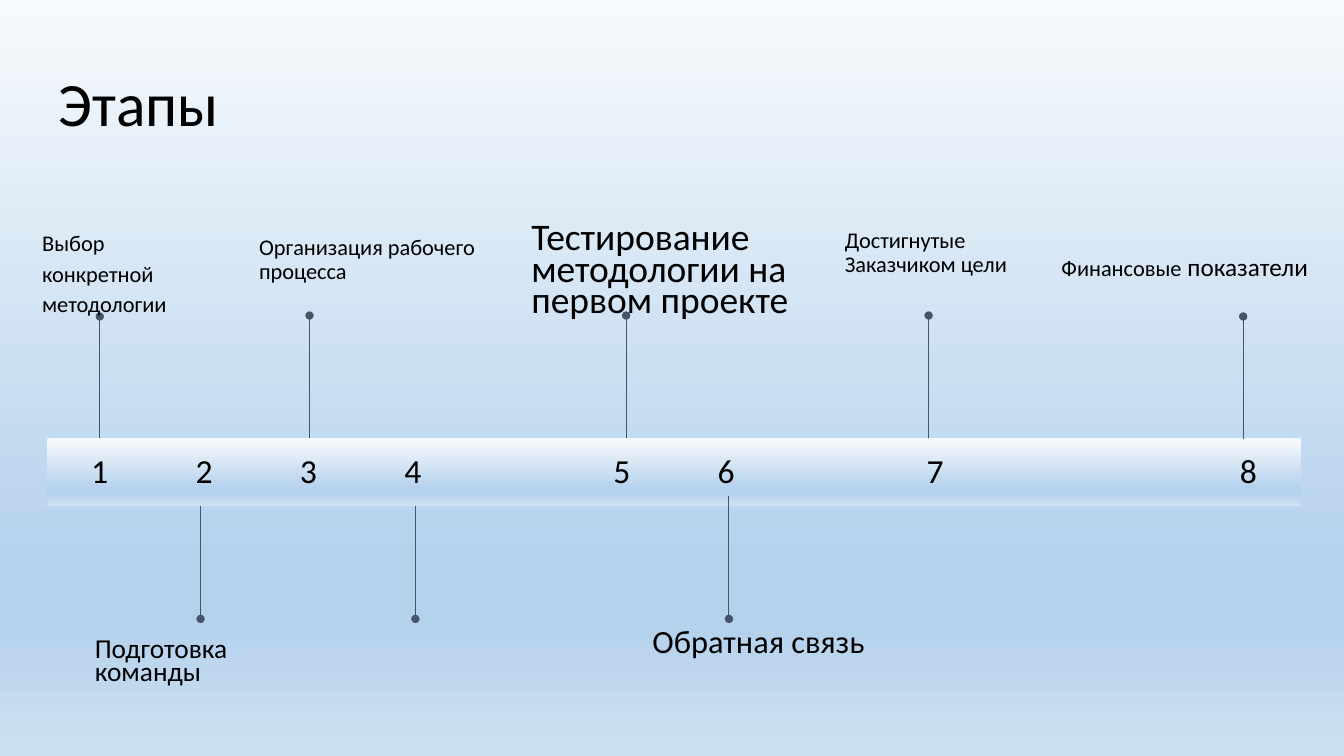
from lxml import etree
from pptx import Presentation
from pptx import util as u
from pptx.dml.color import RGBColor
from pptx.enum import shapes, text
from pptx.oxml.ns import qn

PX = 9144  # 100 px to the inch
HEX = {"ink": "000000", "slate": "44546A",
       "pale": "F7FAFD", "sky": "B5D2EC", "mist": "CEE1F2"}
STOPS = [(0, "pale"), (74, "sky"), (83, "sky"), (100, "mist")]
PLAIN = "{2D5ABB26-0587-4C30-8999-92F81FD0307C}"  # table style without grid
STEPS = ["1", "2", "3", "4", "", "5", "6", "", "7", "", "", "8"]


def px(*vals):
    return [u.Emu(v * PX) for v in vals]


def shade(fill, root):
    """Give fill, found under the element root, the four-stop gradient."""
    fill.gradient()
    fill.gradient_angle = 270
    stops = root.find(".//" + qn("a:gsLst"))
    for old in list(stops):
        stops.remove(old)
    for pos, name in STOPS:
        stop = etree.SubElement(stops, qn("a:gs"), pos=str(pos * 1000))
        etree.SubElement(stop, qn("a:srgbClr"), val=HEX[name])


def write(frame, runs, size=16, pad=13, pady=None, line=None, before=None,
          after=None, align=None, wrap=True):
    """Fill frame; runs is a string or a list of (string, size, font, colour)."""
    if isinstance(runs, str):
        runs = [(runs, size, "Calibri", "ink")]
    frame.word_wrap = wrap
    frame.margin_left, frame.margin_right = px(pad, pad)
    pady = pad if pady is None else pady
    frame.margin_top, frame.margin_bottom = px(pady, pady)
    para = frame.paragraphs[0]
    para.alignment = align
    para.line_spacing = line
    if before is not None:
        para.space_before = u.Pt(before)
    if after is not None:
        para.space_after = u.Pt(after)
    for words, pts, face, color in runs:
        run = para.add_run()
        run.text = words
        run.font.size = u.Pt(pts)
        run.font.name = face
        run.font.color.rgb = RGBColor.from_string(HEX[color])


def label(slide, at, runs, **fmt):
    frame = slide.shapes.add_textbox(*px(*at)).text_frame
    write(frame, runs, **fmt)
    return frame


def pin(slide, x, start, end):
    """Draw an upright line with a dot at its end."""
    line = slide.shapes.add_connector(
        shapes.MSO_CONNECTOR.STRAIGHT, *px(x, start, x, end))
    line.line.color.rgb = RGBColor.from_string(HEX["slate"])
    line.line.width = u.Pt(0.75)
    etree.SubElement(line.line._get_or_add_ln(), qn("a:tailEnd"), type="oval")
    etree.SubElement(line._element.spPr, qn("a:effectLst"))


def rise(slide, x, start=435):
    pin(slide, x, start, start - 122)


def drop(slide, x):
    pin(slide, x, 492, 614)


def scale(slide):
    """Add the numbered band."""
    table = slide.shapes.add_table(
        1, len(STEPS), *px(47, 435, 1243, 67)).table
    table.first_row = table.horz_banding = False
    table._tbl.tblPr.find(qn("a:tableStyleId")).text = PLAIN
    for cell, step in zip(table.rows[0].cells, STEPS):
        shade(cell.fill, cell._tc)
        cell.margin_left, cell.margin_right = px(13, 13)
        cell.margin_top, cell.margin_bottom = px(13, 13)
        if step:
            write(cell.text_frame, step, size=24,
                  align=text.PP_ALIGN.CENTER)


def main():
    deck = Presentation()
    deck.slide_width, deck.slide_height = u.Inches(13.33), u.Inches(7.5)
    slide = deck.slides.add_slide(deck.slide_layouts[6])
    shade(slide.background.fill, slide.element)

    label(slide, (45, 60, 1242, 102), "Этапы", size=44, line=0.9, after=5.3)
    rise(slide, 99, 436)
    drop(slide, 199)
    label(slide, (81, 622, 265, 84), "Подготовка команды",
          size=19.5, line=0.7, before=10)
    rise(slide, 307)
    label(slide, (244, 221, 311, 154), "Организация рабочего процесса",
          line=0.9, before=10)
    drop(slide, 412)
    rise(slide, 621)
    label(slide, (514, 211, 311, 143),
          "Тестирование методологии на первом проекте",
          size=26.8, line=0.7, before=10)
    scale(slide)
    drop(slide, 723)
    label(slide, (634, 614, 265, 84), "Обратная связь",
          size=23.1, line=0.7, before=10)
    rise(slide, 921)
    label(slide, (825, 214, 230, 84), "Достигнутые Заказчиком цели",
          line=0.9, before=10, after=16)
    rise(slide, 1233, 436)
    money = label(slide, (1043, 244, 267, 40),
                  [("Финансовые", 16, "Calibri", "ink"),
                   (" показатели", 18, "Calibri", "ink")],
                  pad=10, pady=5, after=12, wrap=False)
    money.auto_size = text.MSO_AUTO_SIZE.SHAPE_TO_FIT_TEXT
    gap = (" ", 14, "Roboto", "slate")
    label(slide, (32, 213, 173, 107),
          [("Выбор", 16, "Calibri", "ink"), gap,
           ("конкретной", 16, "Calibri", "ink"), gap,
           ("методологии", 16, "Calibri", "ink")],
          pad=10, line=1.15, after=12)
    deck.save("out.pptx")


if __name__ == "__main__":
    main()
